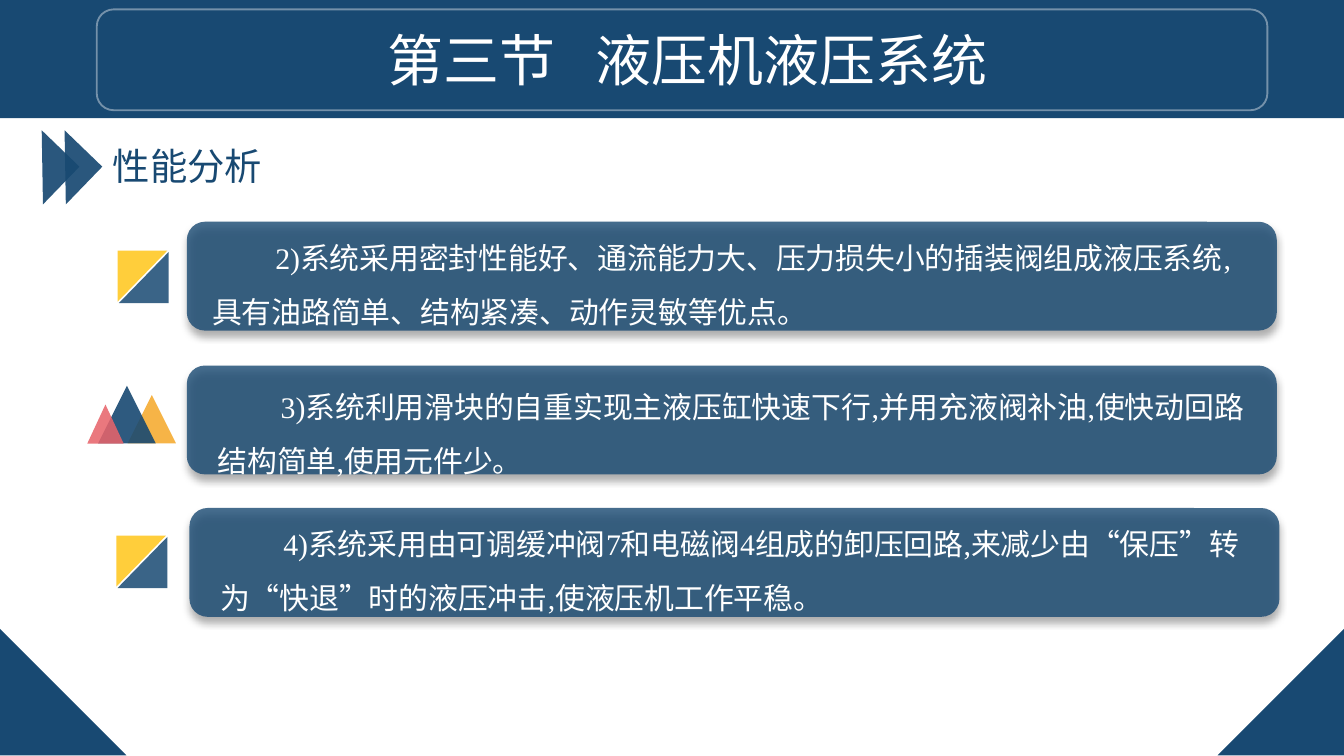
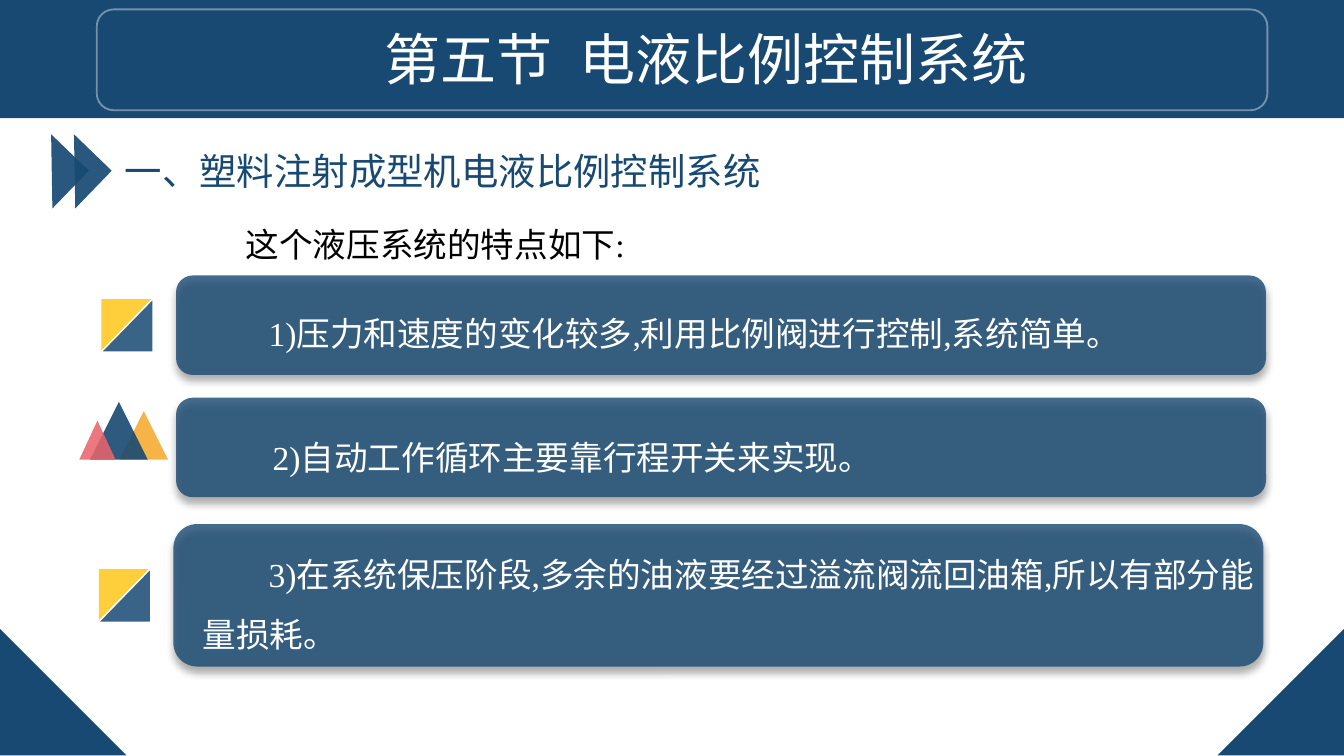
from lxml.etree import SubElement
from pptx import Presentation
from pptx.dml.color import RGBColor
from pptx.enum.shapes import MSO_SHAPE
from pptx.enum.text import MSO_ANCHOR, MSO_AUTO_SIZE, PP_ALIGN
from pptx.oxml.ns import qn
from pptx.util import Inches, Pt

COLORS = {
    "navy": "184972",
    "white": "FFFFFF",
    "black": "000000",
    "yellow": "FFC000",
    "orange": "F49F14",
    "red": "E8646B",
}
FONT = "Times New Roman"
TITLE_ONLY = 5


def color(name):
    return RGBColor.from_string(COLORS[name])


def fade(parent, percent):
    """Give the colour found under parent an opacity."""
    node = parent.find(".//" + qn("a:srgbClr"))
    SubElement(node, qn("a:alpha"), val=str(percent * 1000))


def write(shape, text, size=16, tint="white", align=PP_ALIGN.LEFT,
          indent=0, spacing=1.0, wrap=True, gap=0):
    """Put one formatted paragraph into a shape; gap widens its space."""
    frame = shape.text_frame
    frame.word_wrap = wrap
    frame.auto_size = MSO_AUTO_SIZE.SHAPE_TO_FIT_TEXT
    frame.vertical_anchor = MSO_ANCHOR.TOP
    para = frame.paragraphs[0]
    para.alignment = align
    para.line_spacing = spacing
    props = para._p.get_or_add_pPr()
    props.set("marL", "0")
    props.set("indent", str(Inches(indent)))
    for part in text.partition(" "):
        if not part:
            continue
        run = para.add_run()
        run.text = part
        run.font.name = FONT
        run.font.size = Pt(size)
        run.font.color.rgb = color(tint)
        if part == " ":
            run.font._element.set("spc", str(int(gap * 100)))


class Deck:
    def __init__(self):
        self.prs = Presentation()
        self.prs.slide_width = Inches(10)
        self.prs.slide_height = Inches(10) * 9 // 16
        self.slide = None

    def shape(self, kind, box, fill=None, alpha=100, turn=0):
        item = self.slide.shapes.add_shape(kind, *map(Inches, box))
        item.shadow.inherit = False
        item.line.fill.background()
        item.rotation = turn
        if fill:
            item.fill.solid()
            item.fill.fore_color.rgb = color(fill)
            if alpha < 100:
                fade(item._element.spPr, alpha)
        else:
            item.fill.background()
        return item

    def text(self, box, text, **style):
        item = self.slide.shapes.add_textbox(*map(Inches, box))
        write(item, text, **style)

    def start(self, title, box, gap):
        """Add a slide with band, frame, corners and title."""
        layout = self.prs.slide_layouts[TITLE_ONLY]
        self.slide = self.prs.slides.add_slide(layout)
        self.shape(MSO_SHAPE.RECTANGLE, (0, 0, 10, 0.88), "navy")
        for left, turn in ((0, 0), (9.06, 270)):
            self.shape(MSO_SHAPE.RIGHT_TRIANGLE, (left, 4.68, 0.94, 0.94),
                       "navy", turn=turn)
        frame = self.shape(MSO_SHAPE.ROUNDED_RECTANGLE,
                           (0.72, 0.07, 8.71, 0.75))
        frame.line.color.rgb = color("white")
        frame.line.width = Pt(1)
        fade(frame._element.spPr.find(qn("a:ln")), 40)

        head = self.slide.shapes.title
        head.left, head.top, head.width, head.height = map(Inches, box)
        write(head, title, size=30, align=PP_ALIGN.CENTER, gap=gap)
        # The title has to lie above the band.
        self.slide.shapes._spTree.append(head._element)

    def arrow(self, left, top):
        for step in (0, 0.17):
            self.shape(MSO_SHAPE.RIGHT_TRIANGLE,
                       (left + step, top, 0.39, 0.39), "navy", 92, turn=224)

    def square(self, left, top):
        for step, fill, alpha, turn in ((0.01, "navy", 85, 270),
                                        (0, "yellow", 77, 90)):
            self.shape(MSO_SHAPE.RIGHT_TRIANGLE,
                       (left + step, top + step, 0.38, 0.37),
                       fill, alpha, turn)

    def peaks(self, left, top):
        for dx, dy, width, height, fill, alpha in (
                (0.3, 0.07, 0.36, 0.36, "orange", 78),
                (0.08, 0, 0.43, 0.43, "navy", 90),
                (0, 0.14, 0.27, 0.29, "red", 87)):
            self.shape(MSO_SHAPE.ISOSCELES_TRIANGLE,
                       (left + dx, top + dy, width, height), fill, alpha)

    def card(self, box, area, text, **style):
        """Draw a shadowed panel with its text over it."""
        panel = self.shape(MSO_SHAPE.ROUNDED_RECTANGLE, box, "navy", 80)
        effects = panel._element.spPr.find(qn("a:effectLst"))
        shadow = SubElement(effects, qn("a:outerShdw"), blurRad=str(Pt(4)),
                            dist=str(Pt(3)), dir="5400000", rotWithShape="0")
        SubElement(shadow, qn("a:srgbClr"), val=COLORS["black"])
        fade(shadow, 40)
        self.text(area, text, spacing=1.5, **style)


def press(deck):
    deck.start("第三节 液压机液压系统", (0.94, 0.14, 8.35, 0.61), gap=15)
    deck.arrow(0.12, 1.05)
    deck.text((0.44, 1.13, 1.62, 0.33), "性能分析", size=20, tint="navy",
              align=PP_ALIGN.CENTER, indent=0.29, spacing=Pt(15.8),
              wrap=False)
    deck.square(0.87, 1.87)
    deck.peaks(0.65, 2.87)
    deck.square(0.86, 3.99)
    for left, top, area, text in (
            (1.39, 1.65, (1.48, 1.6, 7.94, 0.86),
             "2)系统采用密封性能好、通流能力大、压力损失小的插装阀组成液压系统,"
             "具有油路简单、结构紧凑、动作灵敏等优点。"),
            (1.39, 2.72, (1.52, 2.71, 7.98, 0.86),
             "3)系统利用滑块的自重实现主液压缸快速下行,并用充液阀补油,"
             "使快动回路结构简单,使用元件少。"),
            (1.41, 3.78, (1.54, 3.73, 7.86, 0.86),
             "4)系统采用由可调缓冲阀7和电磁阀4组成的卸压回路,"
             "来减少由“保压”转为“快退”时的液压冲击,使液压机工作平稳。")):
        deck.card((left, top, 8.11, 0.81), area, text, indent=0.47)


def molder(deck):
    deck.start("第五节 电液比例控制系统", (1.08, 0.13, 8.35, 1.11), gap=7.5)
    deck.arrow(0.19, 1.08)
    deck.text((0.83, 1.05, 7.61, 0.44), "一、塑料注射成型机电液比例控制系统",
              size=20, tint="navy")
    deck.text((0.99, 1.47, 8.45, 0.5), "这个液压系统的特点如下:",
              size=18, tint="black", indent=0.74, spacing=1.5)
    deck.square(0.75, 2.23)
    deck.peaks(0.59, 2.99)
    deck.square(0.73, 4.24)
    for left, top, height, area, wrap, text in (
            (1.31, 2.05, 0.74, (1.41, 2.13, 7.09, 0.5), False,
             "1)压力和速度的变化较多,利用比例阀进行控制,系统简单。"),
            (1.31, 2.96, 0.74, (1.44, 3.05, 5.2, 0.5), False,
             "2)自动工作循环主要靠行程开关来实现。"),
            (1.29, 3.9, 1.06, (1.41, 3.92, 8.14, 0.95), True,
             "3)在系统保压阶段,多余的油液要经过溢流阀流回油箱,"
             "所以有部分能量损耗。")):
        deck.card((left, top, 8.11, height), area, text,
                  size=18, indent=0.49, wrap=wrap)


def main():
    deck = Deck()
    press(deck)
    molder(deck)
    deck.prs.save("out.pptx")


if __name__ == "__main__":
    main()
